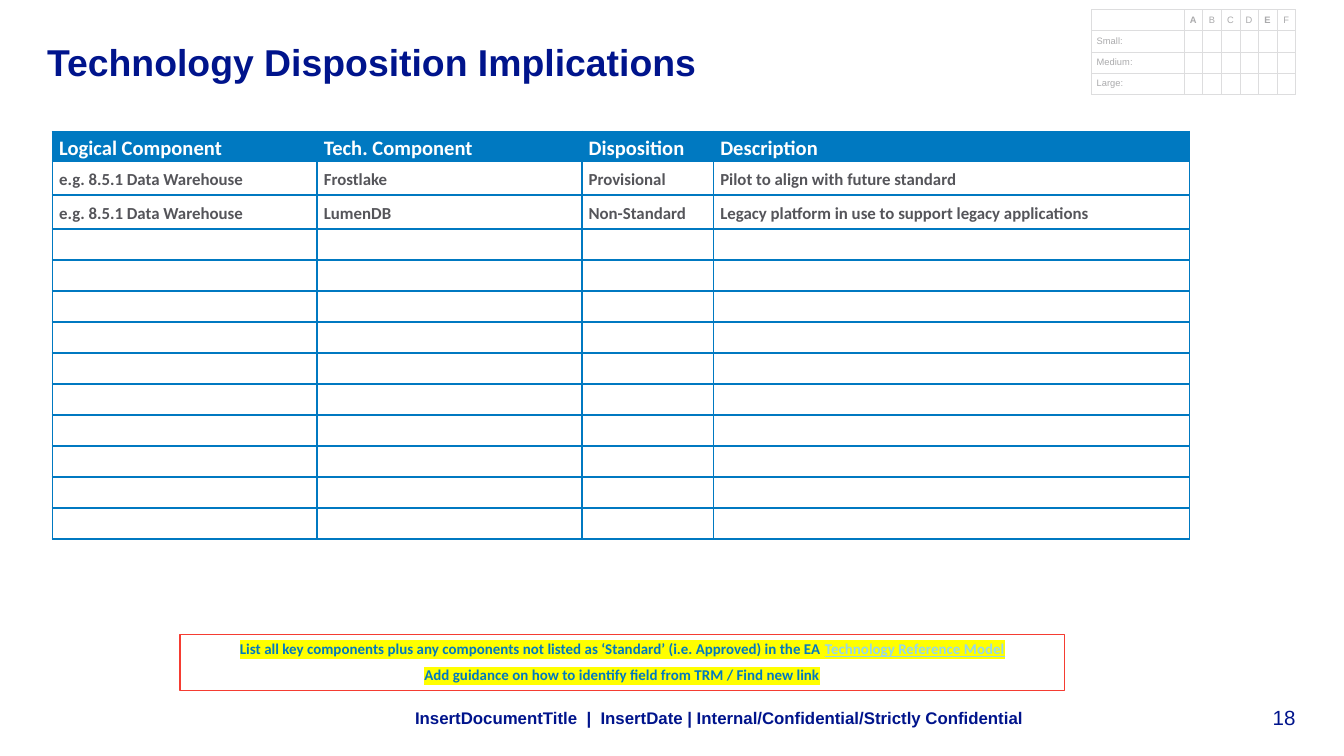
from lxml.etree import SubElement
from pptx import Presentation
from pptx.dml.color import RGBColor as RGB
from pptx.enum.shapes import MSO_SHAPE as SHAPE
from pptx.enum.text import MSO_ANCHOR as ANCHOR, PP_ALIGN as ALIGN
from pptx.oxml import parse_xml
from pptx.oxml.ns import nsdecls, qn
from pptx.util import Inches, Pt

THEME = {
    "navy": "00148C", "blue": "0079C1", "pale": "96D7EB", "grey": "55555A",
    "white": "FFFFFF", "rule": "DDDDDE", "faint": "AAAAAC", "red": "F53C32",
    "yellow": "FFFF00", "head": "Arial", "body": "Calibri",
    "title": 20, "label": 11, "cell": 9, "note": 8, "mini": 5,
}

TITLE = "Technology Disposition Implications"
FOOTER = "InsertDocumentTitle  |  InsertDate | Internal/Confidential/Strictly Confidential"
PAGE = "18"
COMPONENTS = [
    ["Logical Component", "Tech. Component", "Disposition", "Description"],
    ["e.g. 8.5.1 Data Warehouse", "Frostlake", "Provisional",
     "Pilot to align with future standard"],
    ["e.g. 8.5.1 Data Warehouse", "LumenDB", "Non-Standard",
     "Legacy platform in use to support legacy applications"],
] + [[""] * 4 for _ in range(10)]
SIZING = [["", *"ABCDEF"]] + [[name] + [""] * 6 for name in ("Small:", "Medium:", "Large:")]
GUIDANCE = [
    [("List all key components plus any components not listed as ‘Standard’ "
      "(i.e. Approved) in the EA ", "blue", False),
     ("Technology Reference Model", "pale", True)],
    [("Add guidance on how to identify field from TRM / Find new link", "blue", False)],
]


def color(name):
    return RGB.from_string(THEME[name])


def apply(obj, **values):
    for key, value in values.items():
        setattr(obj, key, value)


def add_run(p, text, size, ink, font="head", bold=True, underline=None):
    r = p.add_run()
    r.text = text
    apply(r.font, size=Pt(THEME[size]), name=THEME[font], bold=bold, underline=underline)
    r.font.color.rgb = color(ink)
    return r


def margins(obj, x, y):
    apply(obj, margin_left=Inches(x), margin_right=Inches(x),
          margin_top=Inches(y), margin_bottom=Inches(y))


def add_label(slide, box, text, size, anchor, align=ALIGN.LEFT, bold=True, inset=0):
    tf = slide.shapes.add_textbox(*map(Inches, box)).text_frame
    apply(tf, word_wrap=True, vertical_anchor=anchor)
    margins(tf, inset, 0)
    p = tf.paragraphs[0]
    p.alignment = align
    add_run(p, text, size, "navy", bold=bold)


def add_borders(cell, ink, width):
    tcPr = cell._tc.get_or_add_tcPr()
    for side in "LRTB":
        tcPr.append(parse_xml(
            f'<a:ln{side} {nsdecls("a")} w="{Pt(width)}"><a:solidFill>'
            f'<a:srgbClr val="{THEME[ink]}"/></a:solidFill></a:ln{side}>'))


def add_grid(slide, left, top, rows, widths, heights, style):
    frame = slide.shapes.add_table(len(rows), len(widths), Inches(left), Inches(top),
                                   Inches(sum(widths)), Inches(sum(heights)))
    table = frame.table
    apply(table, first_row=False, horz_banding=False)
    for column, width in zip(table.columns, widths):
        column.width = Inches(width)
    for i, (row, height) in enumerate(zip(rows, heights)):
        table.rows[i].height = Inches(height)
        for j, text in enumerate(row):
            cell = table.cell(i, j)
            margins(cell, style["inset"], 0)
            cell.vertical_anchor = ANCHOR.MIDDLE
            add_borders(cell, *style["border"])
            cell.fill.background()
            p = cell.text_frame.paragraphs[0]
            if text:
                style["format"](cell, p, text, i, j)
            else:
                SubElement(p._p, qn("a:endParaRPr"), sz=str(THEME[style["size"]] * 100))


def format_component(cell, p, text, i, j):
    p.line_spacing = 1.15
    if i == 0:
        cell.vertical_anchor = ANCHOR.TOP
        cell.fill.solid()
        cell.fill.fore_color.rgb = color("blue")
        add_run(p, text, "label", "white", "body")
    else:
        margins(cell, 0.05, 0 if j else 0.04)
        add_run(p, text, "cell", "grey", "body")


def format_sizing(cell, p, text, i, j):
    apply(p, alignment=ALIGN.LEFT if i else ALIGN.CENTER, space_after=Pt(6))
    add_run(p, text, "mini", "faint", bold=text in ("A", "E"))


def add_guidance(slide):
    s = slide.shapes.add_shape(SHAPE.RECTANGLE, *map(Inches, (1.34, 4.72, 6.58, 0.42)))
    s.shadow.inherit = False
    s.fill.background()
    s.line.color.rgb = color("red")
    s.line.width = Pt(0.75)
    tf = s.text_frame
    apply(tf, word_wrap=True, vertical_anchor=ANCHOR.TOP)
    margins(tf, 0.04, 0.04)
    for i, runs in enumerate(GUIDANCE):
        p = tf.add_paragraph() if i else tf.paragraphs[0]
        apply(p, alignment=ALIGN.CENTER, space_after=Pt(4.5))
        for text, ink, underline in runs:
            r = add_run(p, text, "note", ink, "body", underline=underline)
            r.font.fill._xPr.find(qn("a:solidFill")).addnext(parse_xml(
                f'<a:highlight {nsdecls("a")}><a:srgbClr val="{THEME["yellow"]}"/></a:highlight>'))


def main():
    """Build the technology disposition slide."""
    prs = Presentation()
    apply(prs, slide_width=Inches(10), slide_height=Inches(10 * 9 / 16))
    slide = prs.slides.add_slide(prs.slide_layouts[6])
    add_label(slide, (9.06, 5.24, 0.58, 0.19), PAGE, "label", ANCHOR.BOTTOM,
              ALIGN.RIGHT, bold=False)
    add_grid(slide, 8.12, 0.07, SIZING, [0.69] + [(1.52 - 0.69) / 6] * 6, [0.63 / 4] * 4,
             {"inset": 0.04, "border": ("rule", 0.25), "size": "mini", "format": format_sizing})
    add_label(slide, (0.35, 0.29, 7.08, 0.47), TITLE, "title", ANCHOR.TOP)
    add_grid(slide, 0.39, 0.98, COMPONENTS, [1.97, 1.97, 0.98, 3.54],
             [0.22] + [0.25] * 2 + [(3.04 - 0.73) / 10] * 10,
             {"inset": 0.05, "border": ("blue", 1), "size": "cell", "format": format_component})
    add_label(slide, (2.99, 5.21, 6.33, 0.26), FOOTER, "cell", ANCHOR.MIDDLE, inset=0.1)
    add_guidance(slide)
    prs.save("out.pptx")


if __name__ == "__main__":
    main()
